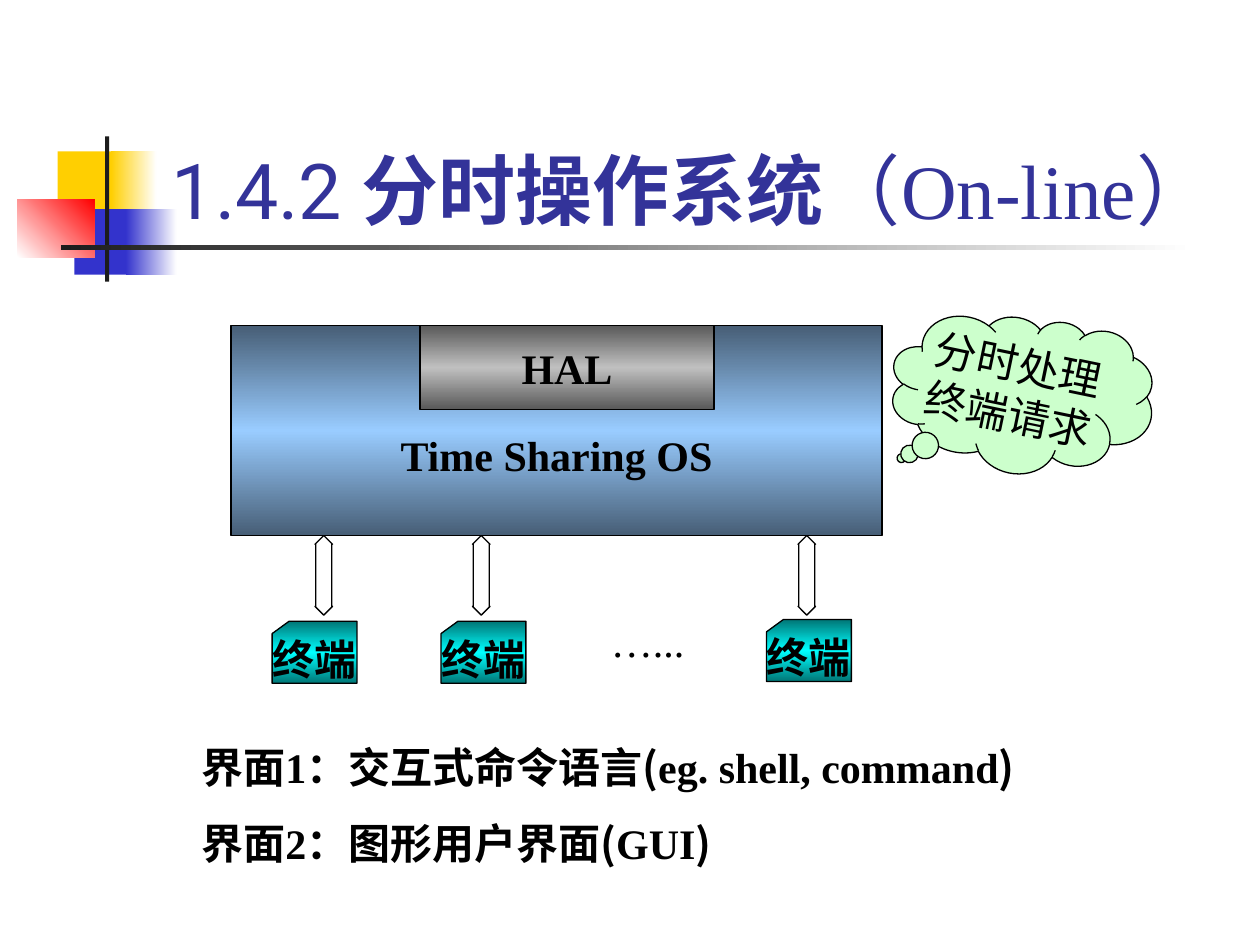
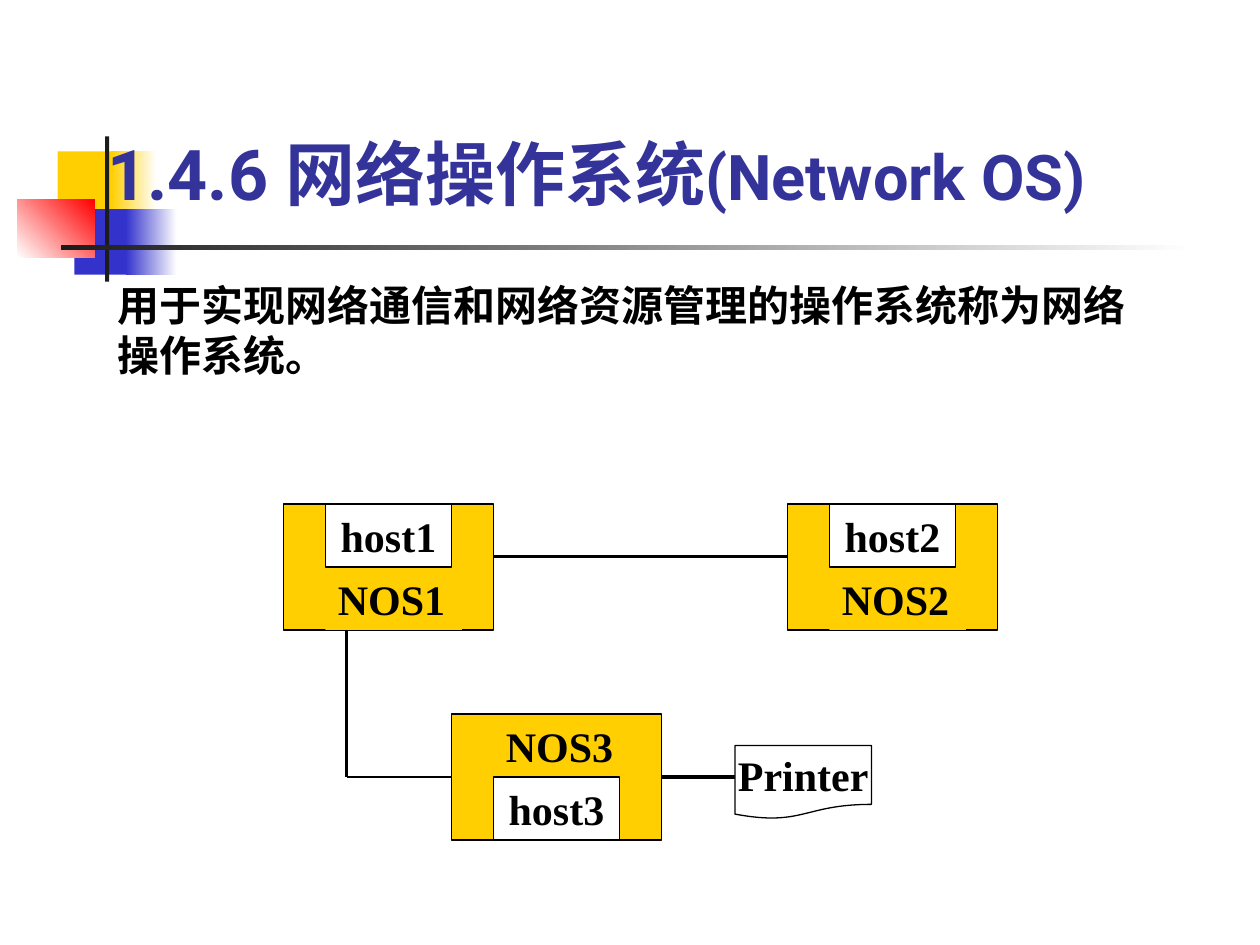
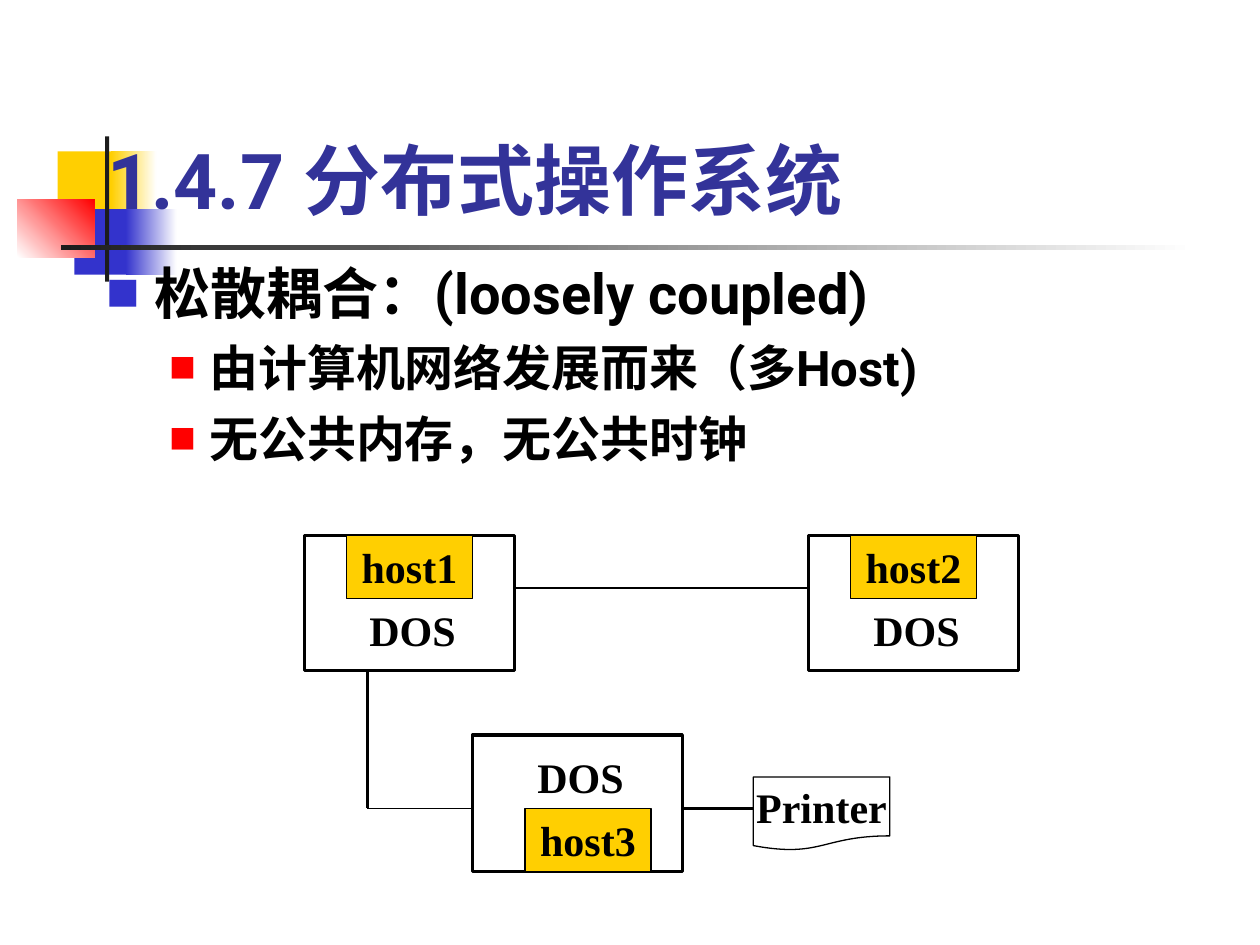
import copy

import lxml.etree
import pptx
import pptx.dml.color
import pptx.enum.shapes
import pptx.enum.text
import pptx.oxml.ns
import pptx.util

Pt = pptx.util.Pt
qn = pptx.oxml.ns.qn
SHAPE = pptx.enum.shapes.MSO_SHAPE
ALIGN = pptx.enum.text.PP_ALIGN
ANCHOR = pptx.enum.text.MSO_ANCHOR

COLOURS = {
    "black": "000000", "white": "FFFFFF", "title": "333399", "ink": "1C1C1C",
    "gold": "FFCF01", "blue": "3333CC", "red": "FF0000", "mint": "CCFFCC",
    "steel": "475E76", "sky": "99CCFF", "grey": "595959", "silver": "C0C0C0",
    "teal": "007676", "cyan": "00FFFF",
}
CJK_FONT = "Noto Sans CJK SC"
LABEL = {"name": "Times New Roman", "size": Pt(24), "bold": True}
PLAIN = LABEL | {"bold": False}
TITLE = {"name": "Roboto", "size": Pt(44), "bold": True}
BODY = {"name": "Roboto", "size": Pt(32), "bold": True}
BRACKET = {"name": CJK_FONT}
CENTRED = {"word_wrap": False, "vertical_anchor": ANCHOR.MIDDLE}
WRAPPED = {"word_wrap": True, "vertical_anchor": ANCHOR.TOP}


def rgb(name):
    return pptx.dml.color.RGBColor.from_string(COLOURS[name])


def set_values(target, values):
    for name, value in values.items():
        setattr(target, name, value)


def place(shape, box):
    set_values(shape, dict(zip(("left", "top", "width", "height"), map(Pt, box))))


def add_runs(paragraph, runs, font, colour="black"):
    """Each run is a pair of its text and the values that differ from font."""
    for text, changes in runs:
        run = paragraph.add_run()
        run.text = text
        set_values(run.font, font | changes)
        run.font.color.rgb = rgb(colour)
        lxml.etree.SubElement(run.font._element, qn("a:ea"), typeface=CJK_FONT)


def write(shape, paragraphs, font=LABEL, frame_values=CENTRED, space_before=0):
    """Fill a shape with paragraphs, each given as a list of runs."""
    frame = shape.text_frame
    set_values(frame, frame_values)
    for index, runs in enumerate(paragraphs):
        paragraph = frame.add_paragraph() if index else frame.paragraphs[0]
        paragraph.alignment = ALIGN.LEFT if frame.word_wrap else ALIGN.CENTER
        if index:
            paragraph.space_before = Pt(space_before)
        add_runs(paragraph, runs, font)


def fill_gradient(shape, colours, angle):
    shape.fill.gradient()
    shape.fill.gradient_angle = angle
    stop_list = shape.element.spPr.find(qn("a:gradFill")).find(qn("a:gsLst"))
    for _ in colours[2:]:
        stop_list.append(copy.deepcopy(stop_list[0]))
    for index, (stop, colour) in enumerate(zip(shape.fill.gradient_stops, colours)):
        stop.color.rgb = rgb(colour)
        stop.position = index / (len(colours) - 1)


def add_box(slide, kind, box, fill, line="black", weight=0.75, angle=90):
    """Add a preset shape; fill is a colour name or a tuple of gradient colours."""
    shape = slide.shapes.add_shape(kind, *map(Pt, box))
    shape.shadow.inherit = False
    if isinstance(fill, tuple):
        fill_gradient(shape, fill, angle)
    else:
        shape.fill.solid()
        shape.fill.fore_color.rgb = rgb(fill)
    if line:
        shape.line.color.rgb = rgb(line)
        shape.line.width = Pt(weight)
    else:
        shape.line.fill.background()
    return shape


def add_text(slide, box, paragraphs, font=LABEL, space_before=0):
    shape = slide.shapes.add_textbox(*map(Pt, box))
    write(shape, paragraphs, font, WRAPPED, space_before)
    return shape


def add_line(slide, start, end, weight):
    line = slide.shapes.add_connector(
        pptx.enum.shapes.MSO_CONNECTOR.STRAIGHT, *map(Pt, start + end))
    line.line.color.rgb = rgb("black")
    line.line.width = Pt(weight)
    lxml.etree.SubElement(line.element.spPr, qn("a:effectLst"))


def decorate_layout(slide):
    """Draw the corner ornament and title rule, then move them to the layout."""
    ornament = [
        ((33, 86.5, 35, 37.5), "gold"),
        ((63.5, 86.5, 26, 37.5), ("gold", "white")),
        ((42.5, 119.5, 33, 37.5), "blue"),
        ((72, 119.5, 29, 37.5), ("blue", "white")),
        ((10, 114, 44, 33), ("white", "red")),
        ((60, 78, 2.4, 83), "ink"),
        ((35, 140.2, 648, 2.4), ("ink", "white")),
    ]
    layout_tree = slide.slide_layout.shapes.element
    for index, (box, fill) in enumerate(ornament):
        angle = 45 if fill == ("white", "red") else 0
        shape = add_box(slide, SHAPE.RECTANGLE, box, fill, None, angle=angle)
        shape.element.nvSpPr.cNvPr.set("id", str(100 + index))
        layout_tree.insert(2 + index, shape.element)


def add_slide(presentation, title_box, title_runs):
    slide = presentation.slides.add_slide(presentation.slide_layouts[5])
    title = slide.shapes.title
    place(title, title_box)
    set_values(title.text_frame, {
        "word_wrap": True, "vertical_anchor": ANCHOR.BOTTOM,
        "auto_size": pptx.enum.text.MSO_AUTO_SIZE.NONE})
    paragraph = title.text_frame.paragraphs[0]
    paragraph.alignment = ALIGN.LEFT
    add_runs(paragraph, title_runs, TITLE, "title")
    return slide


def add_system(slide, left, top):
    """Operating system block with the hardware layer set into its top edge."""
    system = add_box(slide, SHAPE.RECTANGLE, (left, top, 372, 120),
                     ("steel", "sky", "steel"))
    write(system, [[("Time Sharing OS", {})]],
          frame_values=CENTRED | {"margin_top": Pt(31.2)})
    hardware = add_box(slide, SHAPE.RECTANGLE, (left + 108, top, 168, 48),
                       ("grey", "silver", "grey"))
    write(hardware, [[("HAL", {})]])


def add_terminals(slide, left, top):
    """Terminals in a row, each joined by an arrow to the block above."""
    for card_left, card_top, arrow_left in ((23.5, 49, 48), (120, 49, 138), (306, 48, 324)):
        card = add_box(slide, SHAPE.FLOWCHART_CARD,
                       (left + card_left, top + card_top, 48.5, 35.5),
                       ("teal", "cyan", "teal"))
        write(card, [[("终端", {})]])
        arrow = add_box(slide, SHAPE.UP_DOWN_ARROW,
                        (left + arrow_left, top, 10, 45.5), "white")
        arrow.adjustments[0], arrow.adjustments[1] = 0.5, 0.92
    dots = add_box(slide, SHAPE.RECTANGLE, (left + 210, top + 42, 60, 36), "white", "white")
    write(dots, [[("…...", {})]], PLAIN, WRAPPED)


def add_thought(slide, box):
    cloud = add_box(slide, SHAPE.CLOUD_CALLOUT, box, "mint")
    cloud.rotation = 11.7
    cloud.adjustments[0], cloud.adjustments[1] = -0.4, 0.55
    write(cloud, [[("分时处理", {})], [("终端请求", {})]], PLAIN)


def add_node(slide, box, host, label, look, host_below=False, inset=24):
    """System box with a host on its top edge, or on its bottom edge."""
    left, top, width, height = box
    add_box(slide, SHAPE.RECTANGLE, box, look["node"], weight=look["node_line"])
    host_top = top + height - 36 if host_below else top
    label_top = host_top - 36 if host_below else top + 36
    label_left = left + (30 if look["label_width"] < 72 else 24)
    label_box = add_box(slide, SHAPE.RECTANGLE,
                        (label_left, label_top, look["label_width"], 36),
                        look["node"], None)
    if host_below:
        label_box.fill.background()
    write(label_box, [[(label, {})]], frame_values=WRAPPED)
    host_box = add_box(slide, SHAPE.RECTANGLE, (left + inset, host_top, 72, 36), look["host"])
    write(host_box, [[(host, {})]])


def add_network(slide, left, top, look):
    """Three linked hosts and a printer, from the top left of the first node."""
    width, height = 120, look["node_height"]
    second_left, third_left = left + 288, left + 96
    third_top = top + look["third_drop"]
    third_height = look["third_height"]
    link_y = third_top + third_height - 36
    third_right = third_left + width
    printer_left = third_right + look["printer_gap"]
    add_line(slide, (left + 36, top + 72), (left + 36, link_y), look["link"])
    add_line(slide, (left + 36, link_y), (third_left, link_y), 0.75)
    add_line(slide, (left + width, top + 30), (second_left, top + 30), look["link"])
    first, second, third = look["labels"]
    add_node(slide, (left, top, width, height), "host1", first, look)
    add_node(slide, (second_left, top, width, height), "host2", second, look)
    add_node(slide, (third_left, third_top, width, third_height), "host3", third,
             look, True, look["third_inset"])
    add_line(slide, (third_right, link_y), (printer_left, link_y), 1.75)
    printer = add_box(slide, SHAPE.FLOWCHART_DOCUMENT,
                      (printer_left, link_y - 18, 78, 42), "white")
    write(printer, [[("Printer", {})]])


def add_bullet(paragraph, level, margin, indent, colour, percent):
    paragraph.level = level
    properties = paragraph._p.get_or_add_pPr()
    properties.set("marL", str(Pt(margin)))
    properties.set("indent", str(Pt(-indent)))
    bullet_colour = lxml.etree.SubElement(properties, qn("a:buClr"))
    lxml.etree.SubElement(bullet_colour, qn("a:srgbClr"), val=COLOURS[colour])
    lxml.etree.SubElement(properties, qn("a:buSzPct"), val=str(percent * 1000))
    lxml.etree.SubElement(properties, qn("a:buFont"), typeface=CJK_FONT)
    lxml.etree.SubElement(properties, qn("a:buChar"), char="■")


def build_time_sharing(presentation):
    slide = add_slide(presentation, (91, 48, 613, 90), [
        ("1.4.2 ", {"bold": False}), ("分时操作系统", {}), ("（", {"bold": False}),
        ("On-line", {"name": "Times New Roman", "bold": False}), ("）", {"bold": False})])
    decorate_layout(slide)
    add_thought(slide, (509, 180, 150, 90.5))
    add_system(slide, 132, 186)
    add_terminals(slide, 132, 306)
    add_text(slide, (108, 420, 504, 80), [
        [("界面1：交互式命令语言", {}), ("(", BRACKET),
         ("eg. shell, command", {}), (")", BRACKET)],
        [("界面2：图形用户界面", {}), ("(", BRACKET), ("GUI", {}), (")", BRACKET)],
    ], space_before=15)


def build_network_system(presentation):
    slide = add_slide(presentation, (54, 36, 612, 90), [
        ("1.4.6 网络操作系统", {"size": Pt(40)}), ("(Network OS)", {"size": Pt(36)})])
    add_text(slide, (60, 156, 600, 65),
             [[("用于实现网络通信和网络资源管理的操作系统称为网络操作系统。", {})]])
    add_network(slide, 162, 288, {
        "node": "gold", "host": "white", "node_line": 0.75, "link": 1.75,
        "labels": ("NOS1", "NOS2", "NOS3"), "label_width": 78, "node_height": 72,
        "third_drop": 120, "third_height": 72, "third_inset": 24, "printer_gap": 42})


def build_distributed_system(presentation):
    slide = add_slide(presentation, (54, 42, 612, 90), [("1.4.7 分布式操作系统", {})])
    body = add_text(slide, (54, 144, 612, 132), [
        [("松散耦合：(loosely coupled)", {})],
        [("由计算机网络发展而来（多Host)", {"size": Pt(28)})],
        [("无公共内存，无公共时钟", {"size": Pt(28)})],
    ], BODY, space_before=7)
    heading, *details = body.text_frame.paragraphs
    add_bullet(heading, 0, 27, 27, "blue", 60)
    for paragraph in details:
        add_bullet(paragraph, 1, 58.5, 22.5, "red", 55)
    add_network(slide, 174, 306, {
        "node": "white", "host": "gold", "node_line": 1.75, "link": 1.25,
        "labels": ("DOS", "DOS", "DOS"), "label_width": 66, "node_height": 77,
        "third_drop": 114, "third_height": 78, "third_inset": 30, "printer_gap": 40.5})


def main():
    presentation = pptx.Presentation()
    set_values(presentation, {"slide_width": Pt(720), "slide_height": Pt(540)})
    build_time_sharing(presentation)
    build_network_system(presentation)
    build_distributed_system(presentation)
    presentation.save("out.pptx")


if __name__ == "__main__":
    main()
